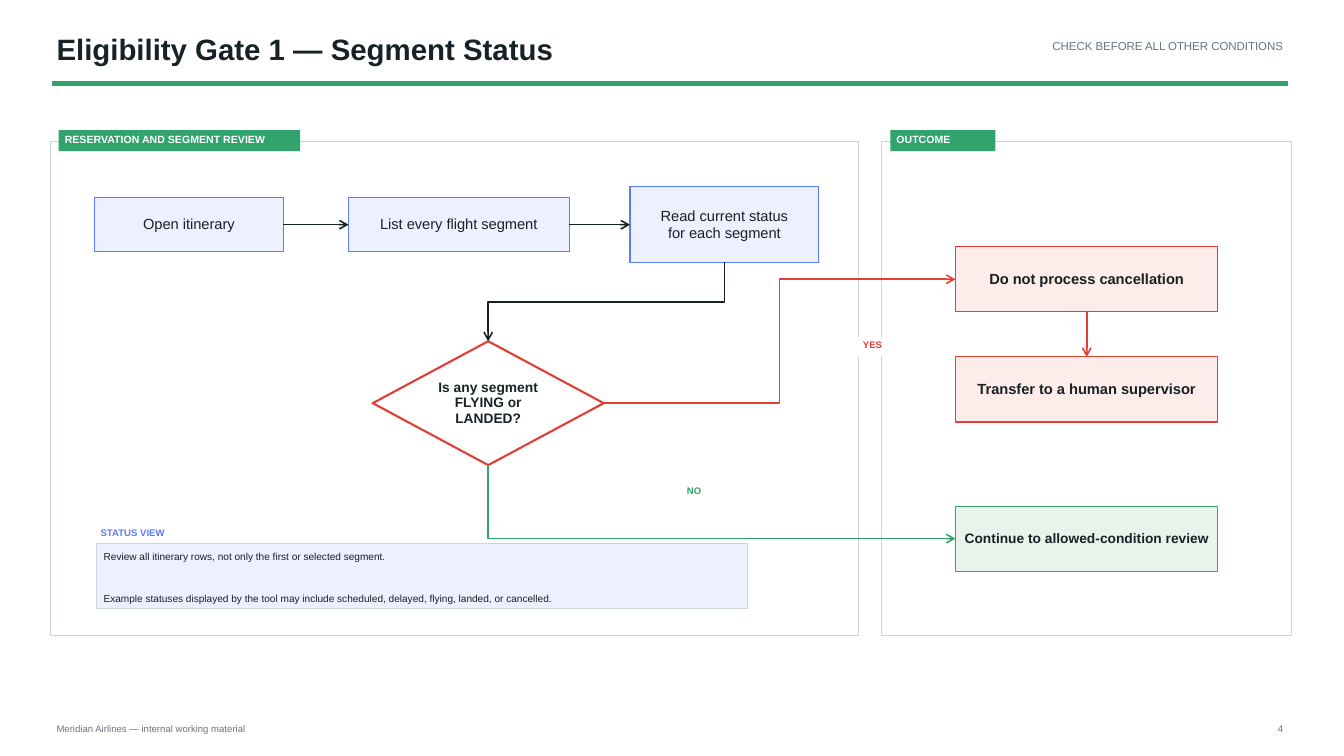
from lxml import etree
from pptx import Presentation
from pptx.dml.color import RGBColor
from pptx.enum.shapes import MSO_CONNECTOR as CONN, MSO_SHAPE as SHAPE
from pptx.enum.text import MSO_ANCHOR as ANCHOR, MSO_AUTO_SIZE as FIT, PP_ALIGN as ALIGN
from pptx.oxml.ns import qn
from pptx.util import Inches, Pt

WIDTH, HEIGHT = Inches(13.33), Inches(7.5)
COLS, ROWS = 128, 72
FONT = "Arial"

INK = RGBColor(0x17, 0x21, 0x26)
GREY = RGBColor(0x66, 0x74, 0x7B)
BORDER = RGBColor(0xCD, 0xD5, 0xD8)
WHITE = RGBColor(0xFF, 0xFF, 0xFF)
GREEN = RGBColor(0x31, 0xA3, 0x6C)
PALE_GREEN = RGBColor(0xE7, 0xF4, 0xEC)
BLUE = RGBColor(0x57, 0x7C, 0xFF)
PALE_BLUE = RGBColor(0xED, 0xF1, 0xFF)
RED = RGBColor(0xE1, 0x3F, 0x33)
PALE_RED = RGBColor(0xFD, 0xEC, 0xE9)

# Connection sites of rectangles and diamonds
TOP, LEFT, BOTTOM, RIGHT = range(4)
SITE_SHARES = {TOP: (0.5, 0), LEFT: (0, 0.5), BOTTOM: (0.5, 1), RIGHT: (1, 0.5)}

TEXT_INSETS = (0.04, 0.02, 0.04, 0.02)
TAG_INSETS = (0.06, 0.03, 0.06, 0.02)
NODE_INSETS = (0.07, 0.06, 0.07, 0.06)
NOTE_INSETS = (0.07, 0.07, 0.07, 0.05)
LABEL_INSETS = (0.02, 0.02, 0.02, 0.01)


def grid(col, row, cols, rows):
    """Turn grid columns and rows into left, top, width and height."""
    return (round(WIDTH * col / COLS), round(HEIGHT * row / ROWS),
            round(WIDTH * cols / COLS), round(HEIGHT * rows / ROWS))


def write(sp, lines, size, color, bold=False, align=ALIGN.LEFT, anchor=ANCHOR.TOP,
          insets=TEXT_INSETS, spacing=None, gap=0):
    """Fill a shape with one paragraph per line, gap points apart."""
    tf = sp.text_frame
    tf.word_wrap = True
    tf.auto_size = FIT.NONE
    tf.vertical_anchor = anchor
    tf.margin_left, tf.margin_top, tf.margin_right, tf.margin_bottom = map(Inches, insets)
    for i, line in enumerate(lines):
        p = tf.add_paragraph() if i else tf.paragraphs[0]
        p.alignment = align
        p.space_before = Pt(gap if i else 0)
        if spacing:
            p.line_spacing = spacing
        r = p.add_run()
        r.text = line
        r.font.name, r.font.size, r.font.bold = FONT, Pt(size), bold
        r.font.color.rgb = color


def add_title(s, text, place):
    title = s.shapes.title
    title.left, title.top, title.width, title.height = grid(*place)
    write(title, [text], 21, INK, bold=True)


def add_text(s, text, place, size, color, **style):
    write(s.shapes.add_textbox(*grid(*place)), [text], size, color, **style)


def add_block(s, place, fill=None, line=None, weight=0.75, kind=SHAPE.RECTANGLE):
    sp = s.shapes.add_shape(kind, *grid(*place))
    sp.shadow.inherit = False
    if fill is None:
        sp.fill.background()
    else:
        sp.fill.solid()
        sp.fill.fore_color.rgb = fill
    if line is None:
        sp.line.fill.background()
    else:
        sp.line.color.rgb = line
        sp.line.width = Pt(weight)
    return sp


def add_panel(s, heading, col, cols, tag_cols):
    add_block(s, (col, 13.5, cols, 47), line=BORDER)
    tag = add_block(s, (col + 0.8, 12.4, tag_cols, 2), GREEN)
    write(tag, [heading], 7.5, WHITE, bold=True, insets=TAG_INSETS)


def add_node(s, lines, place, fill, line, size=10.5, bold=True, **block):
    sp = add_block(s, place, fill, line, **block)
    write(sp, lines, size, INK, bold, ALIGN.CENTER, ANCHOR.MIDDLE, NODE_INSETS, 0.96)
    return sp


def add_label(s, text, place, color):
    write(add_block(s, place, WHITE), [text], 6.8, color, bold=True,
          align=ALIGN.CENTER, insets=LABEL_INSETS)


def site_point(sp, site):
    across, down = SITE_SHARES[site]
    return round(sp.left + across * sp.width), round(sp.top + down * sp.height)


def add_arrow(s, start, start_site, end, end_site, color,
              kind=CONN.STRAIGHT, route=None, bends=()):
    """Join two nodes; a route with bends fixes the path, otherwise the ends are glued."""
    cx = s.shapes.add_connector(kind, *site_point(start, start_site),
                                *site_point(end, end_site))
    cx.line.color.rgb = color
    cx.line.width = Pt(1.13)
    spPr = cx._element.spPr
    etree.SubElement(spPr.find(qn("a:ln")), qn("a:tailEnd"), type="arrow")
    etree.SubElement(spPr, qn("a:effectLst"))
    if route is None:
        cx.begin_connect(start, start_site)
        cx.end_connect(end, end_site)
        return
    geom = spPr.find(qn("a:prstGeom"))
    geom.set("prst", route)
    for old in geom.findall(qn("a:avLst")):
        geom.remove(old)
    guides = etree.SubElement(geom, qn("a:avLst"))
    for i, share in enumerate(bends, 1):
        etree.SubElement(guides, qn("a:gd"), name=f"adj{i}",
                         fmla=f"val {round(share * 100000)}")


def add_flow(s):
    steps = [
        add_node(s, lines, place, PALE_BLUE, BLUE, bold=False)
        for lines, place in (
            (["Open itinerary"], (9, 18.8, 18, 5.2)),
            (["List every flight segment"], (33.2, 18.8, 21, 5.2)),
            (["Read current status", "for each segment"], (60, 17.8, 18, 7.2)),
        )
    ]
    gate = add_node(s, ["Is any segment", "FLYING or LANDED?"], (35.5, 32.5, 22, 11.8),
                    WHITE, RED, size=9.8, weight=1.5, kind=SHAPE.DIAMOND)
    stop, transfer, proceed = [
        add_node(s, [text], (91, row, 25, 6.2), fill, line, size)
        for text, row, fill, line, size in (
            ("Do not process cancellation", 23.5, PALE_RED, RED, 10.5),
            ("Transfer to a human supervisor", 34, PALE_RED, RED, 10.5),
            ("Continue to allowed-condition review", 48.2, PALE_GREEN, GREEN, 9.8),
        )
    ]
    for step, following in zip(steps, steps[1:]):
        add_arrow(s, step, RIGHT, following, LEFT, INK)
    add_arrow(s, steps[-1], BOTTOM, gate, TOP, INK, CONN.ELBOW, "bentConnector4", (0, 0.5))
    add_arrow(s, gate, RIGHT, stop, LEFT, RED, CONN.ELBOW)
    add_arrow(s, stop, BOTTOM, transfer, TOP, RED)
    add_arrow(s, gate, BOTTOM, proceed, LEFT, GREEN, CONN.ELBOW, "bentConnector3", (0,))
    add_label(s, "YES", (80.5, 32.1, 5.2, 1.8), RED)
    add_label(s, "NO", (63.5, 46, 5.2, 1.8), GREEN)


def add_status_note(s):
    add_text(s, "STATUS VIEW", (9.2, 50, 62, 1.8), 6.8, BLUE, bold=True)
    note = add_block(s, (9.2, 51.8, 62, 6.2), PALE_BLUE, BORDER)
    write(note, [
        "Review all itinerary rows, not only the first or selected segment.",
        "Example statuses displayed by the tool may include scheduled, delayed, "
        "flying, landed, or cancelled.",
    ], 7.2, INK, insets=NOTE_INSETS, spacing=0.96, gap=21.6)


def main():
    prs = Presentation()
    prs.slide_width, prs.slide_height = WIDTH, HEIGHT
    s = prs.slides.add_slide(prs.slide_layouts[5])

    add_title(s, "Eligibility Gate 1 — Segment Status", (5, 2.8, 85, 4.2))
    add_text(s, "CHECK BEFORE ALL OTHER CONDITIONS", (90.2, 3.5, 32.4, 3), 8.2, GREY,
             align=ALIGN.RIGHT)
    add_block(s, (5, 7.8, 117.6, 0.3), GREEN, GREEN, weight=0)

    add_panel(s, "RESERVATION AND SEGMENT REVIEW", 4.8, 77, 23)
    add_panel(s, "OUTCOME", 84, 39, 10)
    add_flow(s)
    add_status_note(s)

    add_text(s, "Meridian Airlines — internal working material", (5, 68.7, 30, 1.8), 6.8, GREY)
    add_text(s, "4", (117.6, 68.7, 5, 1.8), 6.8, GREY, align=ALIGN.RIGHT)
    prs.save("out.pptx")


if __name__ == "__main__":
    main()
